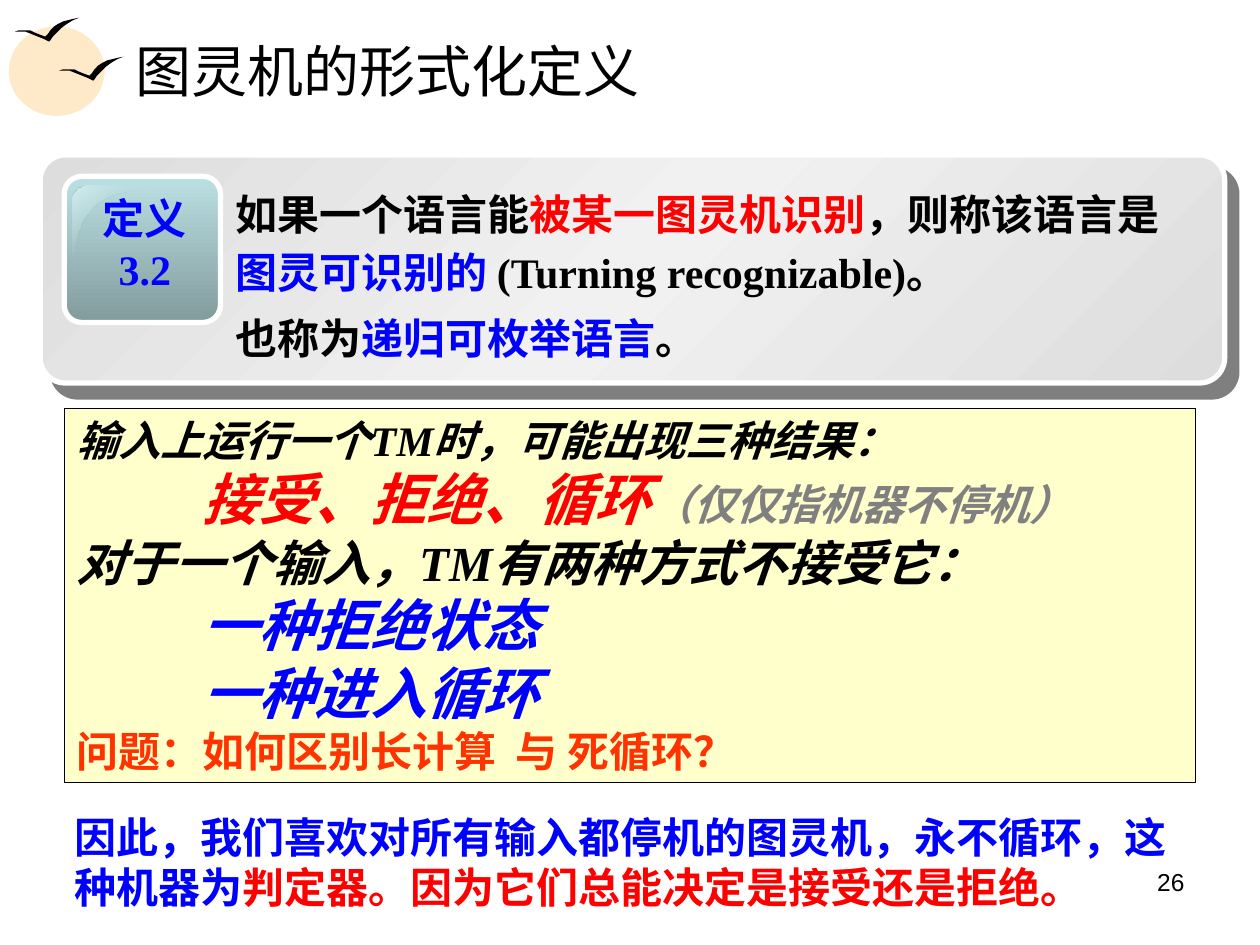
from lxml import etree
from pptx import Presentation
from pptx.dml.color import RGBColor
from pptx.enum import shapes, text
from pptx.oxml import ns
from pptx.util import Pt

BLACK = RGBColor(0, 0, 0)
WHITE = RGBColor(255, 255, 255)
RED = RGBColor(255, 0, 0)
BLUE = RGBColor(0, 0, 255)
GRAY = RGBColor(0x80, 0x80, 0x80)
ORANGE = RGBColor(0xFF, 0x33, 0)
CREAM = RGBColor(0xFF, 0xFF, 0xCC)
SUN = RGBColor(0xFE, 0xE9, 0xC8)
SILVER = RGBColor(0xDD, 0xDD, 0xDD)
PEARL = RGBColor(0xF1, 0xF1, 0xF1)
TEAL = RGBColor(0xBB, 0xE0, 0xE3)
DARK_TEAL = RGBColor(0x82, 0x9B, 0x9D)
PALE_TEAL = RGBColor(0xD9, 0xED, 0xEE)

SERIF = "Times New Roman"
SANS = "Arial"

TITLE = [{"runs": [("图灵机的形式化定义", 32, BLACK)]}]
LABEL = [{"runs": [("定义", 24, BLUE)]}, {"runs": [("3.2", 24, BLUE)]}]
DEFINITION = [
    {"runs": [("如果一个语言能", 24, BLACK), ("被某一图灵机识别", 24, RED),
              ("，则称该语言是", 24, BLACK), ("图灵可识别的 ", 24, BLUE),
              ("(Turning recognizable)。", 24, BLACK)]},
    {"runs": [("也称为", 24, BLACK), ("递归可枚举语言", 24, BLUE), ("。", 24, BLACK)],
     "before": 4.5},
]
OUTCOMES = [
    {"runs": [("输入上运行一个TM时，可能出现三种结果：", 24, BLACK)]},
    {"runs": [("接受、拒绝、循环", 32, RED), ("（仅仅指机器不停机）", 24, GRAY)], "indent": 72},
    {"runs": [("对于一个输入，TM有两种方式不接受它：", 28, BLACK)]},
    {"runs": [("一种拒绝状态", 32, BLUE)], "indent": 72},
    {"runs": [("一种进入循环", 32, BLUE)], "indent": 72},
    {"runs": [("问题：如何区别长计算  与 死循环？", 24, ORANGE)], "italic": False},
]
CONCLUSION = [{"runs": [
    ("因此，我们喜欢对所有输入都停机的图灵机，永不循环，这种机器为", 24, BLUE),
    ("判定器。因为它们总能决定是接受还是拒绝。", 24, RED)]}]
PAGE = [{"runs": [("26", 14, BLACK)]}]

BIRD = [
    (0, 11), (3, 10), (8, 10), (12, 10), (16, 12), (21, 14), (24, 15), (26, 13),
    (28, 10), (31, 7), (34, 5), (38, 3), (42, 2), (46, 1), (51, 0), (46, 2),
    (41, 5), (37, 8), (33, 12), (30, 15), (28, 18), (27, 19), (23, 17),
    (18, 15), (13, 13), (8, 11), (4, 11),
]
BIRD_ORIGINS = [(33.84, 32.4), (8.64, 10.08)]
SUN_DISCS = [(5.04, 15.12, 54.72, 51.12), (14.4, 20.16, 45.36, 39.6)]
GLOSS_START = (13, 0)
GLOSS_CURVES = [
    ((13, 0), (6, 0), (0, 5), (0, 12)),
    ((0, 58), (3, 58), (2, 30), (17, 17)),
    ((17, 17), (32, 4), (62, 3), (61, 0)),
]

deck = Presentation()
deck.slide_width, deck.slide_height = Pt(720), Pt(540)
slide = deck.slides.add_slide(deck.slide_layouts[6])


def finish(shape, fill=None, line=None, width=0):
    shape.shadow.inherit = False
    if fill is not None:
        shape.fill.solid()
        shape.fill.fore_color.rgb = fill
    if line is None:
        shape.line.fill.background()
    else:
        shape.line.color.rgb = line
        shape.line.width = Pt(width)
    return shape


def add_preset(kind, box, **style):
    return finish(slide.shapes.add_shape(kind, *map(Pt, box)), **style)


def add_outline(points, origin, **style):
    builder = slide.shapes.build_freeform(*points[0], scale=Pt(0.72))
    builder.add_line_segments(points[1:], close=True)
    return finish(builder.convert_to_shape(*map(Pt, origin)), **style)


def add_xml(parent, tag, **attributes):
    return etree.SubElement(parent, ns.qn(tag), {k: str(v) for k, v in attributes.items()})


def set_gradient(shape, angle, stops):
    shape.fill.gradient()
    shape.fill.gradient_angle = 360 - angle
    stop_list = shape._element.spPr.find(".//" + ns.qn("a:gsLst"))
    for stop in list(stop_list):
        stop_list.remove(stop)
    for position, color, opacity in stops:
        stop = add_xml(stop_list, "a:gs", pos=position * 1000)
        tint = add_xml(stop, "a:srgbClr", val=color)
        if opacity < 100:
            add_xml(tint, "a:alpha", val=opacity * 1000)


def write(shape, paragraphs, font=SERIF, bold=False, italic=False, spacing=None,
          align=text.PP_ALIGN.LEFT, anchor=text.MSO_ANCHOR.TOP, grow=True):
    frame = shape.text_frame
    fit = text.MSO_AUTO_SIZE
    settings = {"word_wrap": True, "vertical_anchor": anchor,
                "auto_size": fit.SHAPE_TO_FIT_TEXT if grow else fit.NONE}
    for name, value in settings.items():
        setattr(frame, name, value)
    for i, content in enumerate(paragraphs):
        paragraph = frame.add_paragraph() if i else frame.paragraphs[0]
        paragraph.alignment = align
        paragraph.line_spacing = spacing
        if "before" in content:
            paragraph.space_before = Pt(content["before"])
        if "indent" in content:
            paragraph._p.get_or_add_pPr().set("marL", str(Pt(content["indent"])))
        for words, size, color in content["runs"]:
            run = paragraph.add_run()
            run.text = words
            run.font.color.rgb = color
            look = {"name": font, "size": Pt(size), "bold": bold,
                    "italic": content.get("italic", italic)}
            for name, value in look.items():
                setattr(run.font, name, value)


def add_text(box, paragraphs, **style):
    write(slide.shapes.add_textbox(*map(Pt, box)), paragraphs, **style)


def curve_points(a, b, c, d, steps=12):
    for t in (i / steps for i in range(steps + 1)):
        s = 1 - t
        yield tuple(s**3 * p + 3 * s * s * t * q + 3 * s * t * t * r + t**3 * e
                    for p, q, r, e in zip(a, b, c, d))


for disc in SUN_DISCS:
    add_preset(shapes.MSO_SHAPE.OVAL, disc, fill=SUN)
for origin in BIRD_ORIGINS:
    add_outline(BIRD, origin, fill=BLACK)
add_text((70.56, 15.12, 614.16, 49.68), TITLE, anchor=text.MSO_ANCHOR.MIDDLE, grow=False)

panel = add_preset(shapes.MSO_SHAPE.ROUNDED_RECTANGLE, (23.04, 88.56, 676.8, 130.32),
                   line=WHITE, width=3)
panel.adjustments[0] = 0.11
set_gradient(panel, 225, [(0, SILVER, 100), (50, PEARL, 100), (100, SILVER, 100)])
effects = panel._element.spPr.find(ns.qn("a:effectLst"))
shadow = add_xml(effects, "a:outerShdw", dist=Pt(10.6), dir=49 * 60000,
                 algn="ctr", rotWithShape=0)
add_xml(add_xml(shadow, "a:srgbClr", val=BLACK), "a:alpha", val=50000)

badge = add_preset(shapes.MSO_SHAPE.ROUNDED_RECTANGLE, (36.72, 100.8, 89.28, 83.52),
                   line=WHITE, width=3)
badge.adjustments[0] = 0.12
set_gradient(badge, 90, [(0, TEAL, 100), (100, DARK_TEAL, 100)])
gloss_points = [GLOSS_START] + [p for curve in GLOSS_CURVES for p in curve_points(*curve)]
gloss = add_outline(gloss_points, (41.76, 105.84))
set_gradient(gloss, 225, [(0, PALE_TEAL, 100), (50, TEAL, 0), (100, PALE_TEAL, 100)])

add_text((48.96, 106.56, 67.68, 64.8), LABEL, bold=True, align=text.PP_ALIGN.CENTER)
add_text((127.44, 100.08, 544.32, 110.88), DEFINITION, bold=True, spacing=1.15)

outcome_box = add_preset(shapes.MSO_SHAPE.RECTANGLE, (36.72, 233.28, 646.56, 213.84),
                         fill=CREAM, line=BLACK, width=0.75)
write(outcome_box, OUTCOMES, bold=True, italic=True)
add_text((35.28, 460.08, 642.24, 64.8), CONCLUSION, font=SANS, bold=True)
add_text((516.24, 491.76, 167.76, 37.44), PAGE, font=SANS,
         align=text.PP_ALIGN.RIGHT, grow=False)

deck.save("out.pptx")
